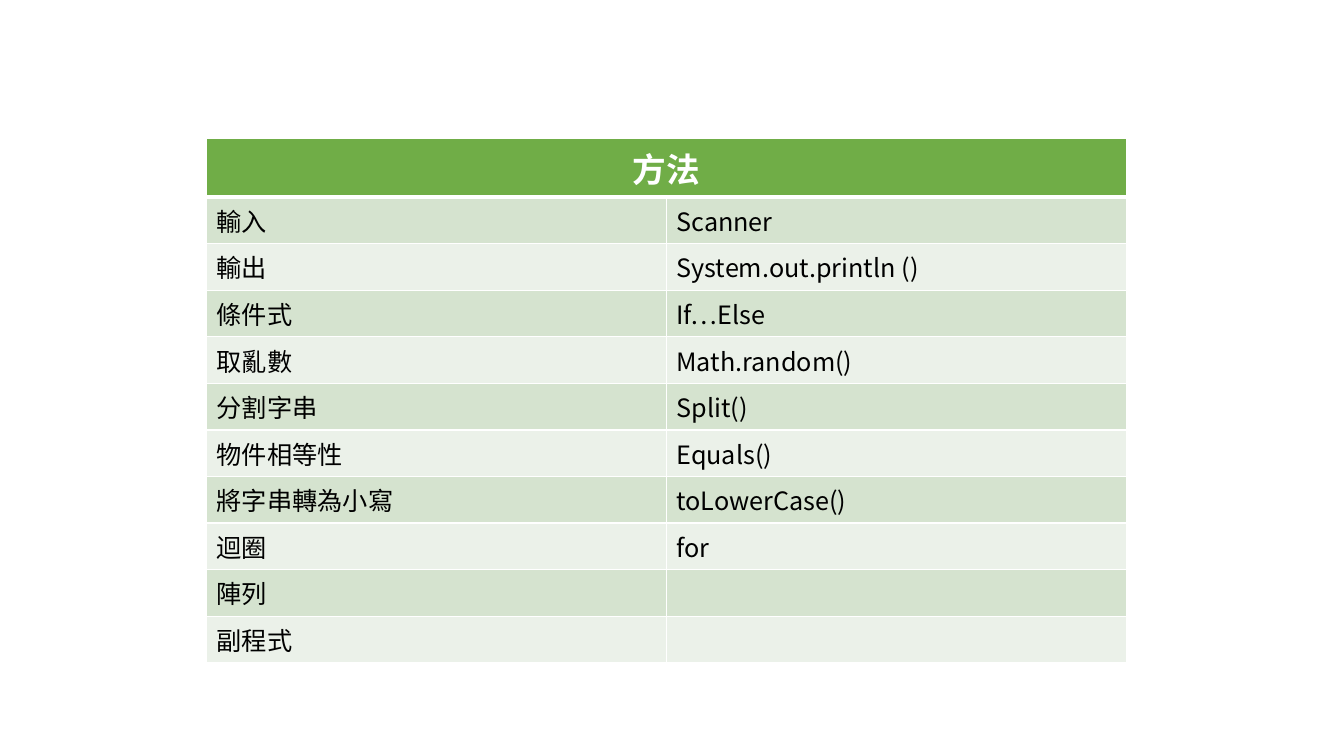
from lxml import etree
from pptx import Presentation
from pptx.dml.color import RGBColor
from pptx.enum.text import PP_ALIGN
from pptx.oxml.ns import qn
from pptx.util import Inches, Pt

LEFT, CENTER = PP_ALIGN.LEFT, PP_ALIGN.CENTER
FONT = "Noto Sans CJK SC"
COLORS = {
    "header": "70AD47",
    "band_dark": "D5E3CF",
    "band_light": "EBF1E9",
    "white": "FFFFFF",
    "text": "000000",
}
HEADER_HEIGHT = 0.51
TITLE = "方法"
METHODS = [
    ("輸入", "Scanner"),
    ("輸出", "System.out.println ()"),
    ("條件式", "If…Else"),
    ("取亂數", "Math.random()"),
    ("分割字串", "Split()"),
    ("物件相等性", "Equals()"),
    ("將字串轉為小寫", "toLowerCase()"),
    ("迴圈", "for"),
    ("陣列", ""),
    ("副程式", ""),
]


def set_text(tf, text, size=18, color="text", bold=False, align=LEFT):
    p = tf.paragraphs[0]
    p.alignment = align
    if not text:
        p.font.size = Pt(size)
        return
    r = p.add_run()
    r.text = text
    r.font.size = Pt(size)
    r.font.bold = bold
    r.font.color.rgb = RGBColor.from_string(COLORS[color])
    r.font.name = FONT
    etree.SubElement(r._r.get_or_add_rPr(), qn("a:ea"), typeface=FONT)


def style_cell(cell, fill, top=1, bottom=1):
    """Give a cell white borders, in points, and a solid fill."""
    tcPr = cell._tc.get_or_add_tcPr()
    for side, width in (("L", 1), ("R", 1), ("T", top), ("B", bottom)):
        ln = etree.SubElement(tcPr, qn(f"a:ln{side}"), w=str(Pt(width)))
        solid = etree.SubElement(ln, qn("a:solidFill"))
        etree.SubElement(solid, qn("a:srgbClr"), val=COLORS["white"])
    cell.fill.solid()
    cell.fill.fore_color.rgb = RGBColor.from_string(COLORS[fill])


def add_method_table(slide, left, top, width, height):
    frame = slide.shapes.add_table(
        len(METHODS) + 1, 2,
        Inches(left), Inches(top), Inches(width), Inches(height))
    table = frame.table
    table.horz_banding = False
    for column in table.columns:
        column.width = Inches(width / 2)
    for row in table.rows:
        row.height = Inches((height - HEADER_HEIGHT) / len(METHODS))
    table.rows[0].height = Inches(HEADER_HEIGHT)

    # Header across both columns
    header = table.cell(0, 0)
    header.merge(table.cell(0, 1))
    for cell in table.rows[0].cells:
        style_cell(cell, "header", bottom=3)
    set_text(header.text_frame, TITLE, size=24, color="white", bold=True,
             align=CENTER)

    # Banded body rows
    for i, texts in enumerate(METHODS, start=1):
        band = "band_dark" if i % 2 else "band_light"
        for j, text in enumerate(texts):
            cell = table.cell(i, j)
            style_cell(cell, band, top=3 if i == 1 else 1)
            set_text(cell.text_frame, text)


def main():
    prs = Presentation()
    prs.slide_width = Inches(13.33)
    prs.slide_height = Inches(7.5)
    slide = prs.slides.add_slide(prs.slide_layouts[6])
    add_method_table(slide, 2.05, 1.37, 9.12, 4.69)
    prs.save("out.pptx")


if __name__ == "__main__":
    main()
